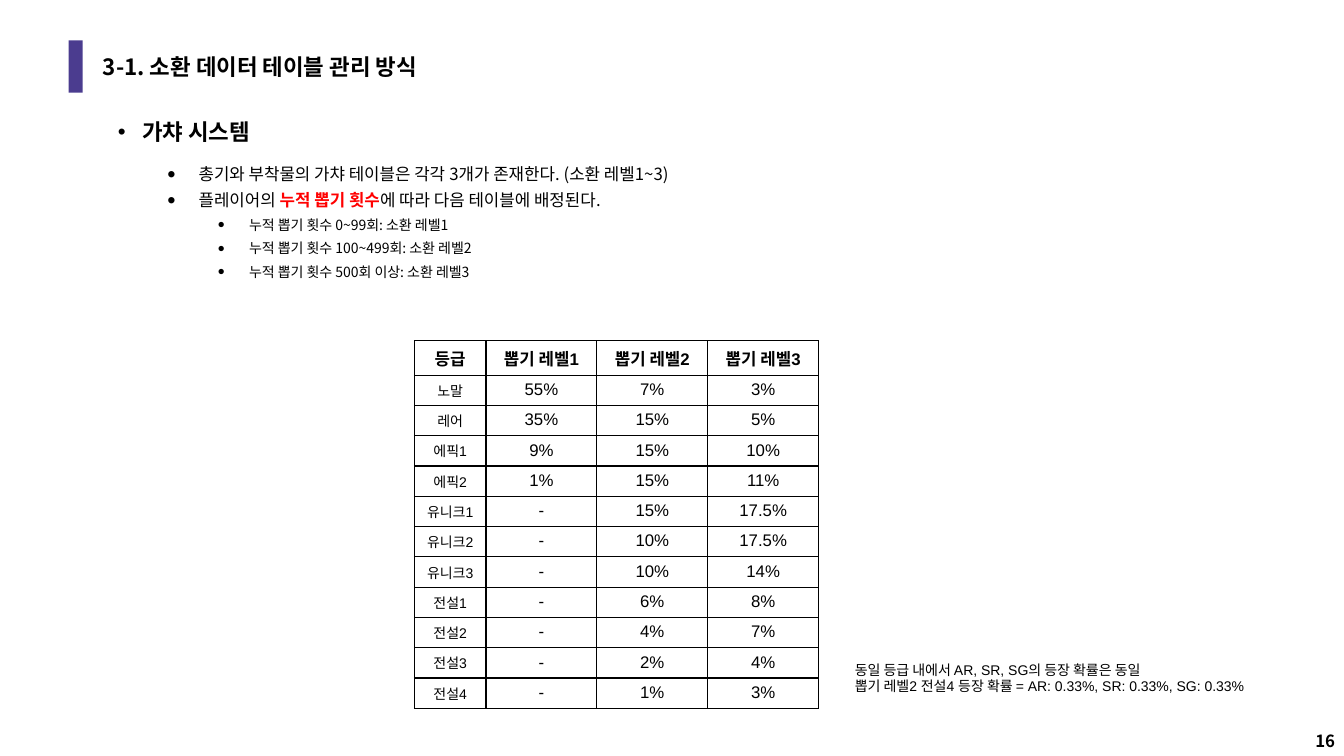
from lxml.etree import SubElement
from pptx import Presentation
from pptx.dml.color import RGBColor
from pptx.enum.shapes import MSO_SHAPE as Shape
from pptx.enum.text import MSO_ANCHOR as Anchor, MSO_AUTO_SIZE as AutoSize, PP_ALIGN as Align
from pptx.oxml.ns import qn
from pptx.util import Emu, Pt

PX = 9144
KOREAN = "Noto Sans CJK KR"
LATIN = "Arial"
BLACK = "000000"
RED = "FF0000"
PURPLE = "4B3C8F"

BULLETS = [
    (0, 16, "가챠 시스템"),
    (1, 12, "총기와 부착물의 가챠 테이블은 각각 3개가 존재한다. (소환 레벨1~3)"),
    (1, 12, "플레이어의 *누적 뽑기 횟수*에 따라 다음 테이블에 배정된다."),
    (2, 10, "누적 뽑기 횟수 0~99회: 소환 레벨1"),
    (2, 10, "누적 뽑기 횟수 100~499회: 소환 레벨2"),
    (2, 10, "누적 뽑기 횟수 500회 이상: 소환 레벨3"),
]
INDENTS = [(25, -24), (81, -31), (131, -31)]

RATES = [
    ("등급", "뽑기 레벨1", "뽑기 레벨2", "뽑기 레벨3"),
    ("노말", "55%", "7%", "3%"),
    ("레어", "35%", "15%", "5%"),
    ("에픽1", "9%", "15%", "10%"),
    ("에픽2", "1%", "15%", "11%"),
    ("유니크1", "-", "15%", "17.5%"),
    ("유니크2", "-", "10%", "17.5%"),
    ("유니크3", "-", "10%", "14%"),
    ("전설1", "-", "6%", "8%"),
    ("전설2", "-", "4%", "7%"),
    ("전설3", "-", "2%", "4%"),
    ("전설4", "-", "1%", "3%"),
]

NOTES = [
    "동일 등급 내에서 AR, SR, SG의 등장 확률은 동일",
    "뽑기 레벨2 전설4 등장 확률 = AR: 0.33%, SR: 0.33%, SG: 0.33%",
]


def px(length):
    return Emu(length * PX)


def color(value):
    return RGBColor.from_string(value)


class SlideBuilder:
    def __init__(self, deck):
        self.slide = deck.slides.add_slide(deck.slide_layouts[1])

    def place(self, shape, left, top, width, height):
        shape.left, shape.top = px(left), px(top)
        shape.width, shape.height = px(width), px(height)

    def style(self, para, size, face, bold=False, align=Align.LEFT):
        para.alignment = align
        para.font.name = face
        para.font.size = Pt(size)
        para.font.bold = bold
        para.font.color.rgb = color(BLACK)
        defaults = para._p.pPr.find(qn("a:defRPr"))
        SubElement(defaults, qn("a:ea"), typeface=KOREAN)
        return defaults

    def bar(self, left, top, width, height, fill):
        bar = self.slide.shapes.add_shape(
            Shape.RECTANGLE, px(left), px(top), px(width), px(height))
        bar.shadow.inherit = False
        bar.fill.solid()
        bar.fill.fore_color.rgb = color(fill)
        bar.line.fill.background()

    def title(self, text, *frame):
        title = self.slide.shapes.title
        self.place(title, *frame)
        title.text_frame.vertical_anchor = Anchor.MIDDLE
        title.text_frame.auto_size = AutoSize.NONE
        para = title.text_frame.paragraphs[0]
        para.text = text
        para.line_spacing = 0.9
        self.style(para, 20, KOREAN, bold=True).set("cap", "small")

    def bullet(self, para, level):
        margin, indent = INDENTS[level]
        props = para._p.get_or_add_pPr()
        props.set("marL", str(px(margin)))
        props.set("indent", str(px(indent)))
        tint = SubElement(props, qn("a:buClr"))
        SubElement(tint, qn("a:srgbClr"), val=BLACK)
        SubElement(props, qn("a:buSzPct"), val="140000" if level else "100000")
        SubElement(props, qn("a:buFont"), typeface=LATIN)
        SubElement(props, qn("a:buChar"), char="•")

    def bullets(self, items, *frame):
        body = self.slide.placeholders[1]
        self.place(body, *frame)
        text_frame = body.text_frame
        text_frame.auto_size = AutoSize.NONE
        text_frame.vertical_anchor = Anchor.TOP
        for index, (level, size, text) in enumerate(items):
            para = text_frame.add_paragraph() if index else text_frame.paragraphs[0]
            para.level = level
            self.bullet(para, level)
            para.line_spacing = 0.9 if level else 1.3
            para.space_before = Pt({0: 0, 1: 15}.get(index, 5.8))
            self.style(para, size, KOREAN, bold=level == 0)
            for part, piece in enumerate(text.split("*")):
                span = para.add_run()
                span.text = piece
                if part % 2:
                    span.font.bold = True
                    span.font.color.rgb = color(RED)

    def border(self, cell):
        props = cell._tc.get_or_add_tcPr()
        for side in ("lnL", "lnR", "lnT", "lnB"):
            line = SubElement(props, qn(f"a:{side}"), w=str(Pt(1)))
            fill = SubElement(line, qn("a:solidFill"))
            SubElement(fill, qn("a:srgbClr"), val=BLACK)

    def table(self, rows, left, top, widths, row_height):
        table = self.slide.shapes.add_table(
            len(rows), len(widths), px(left), px(top),
            px(sum(widths)), px(row_height * len(rows))).table
        table.first_row = table.horz_banding = False
        for column, width in zip(table.columns, widths):
            column.width = px(width)
        for row, values in enumerate(rows):
            for column, value in enumerate(values):
                cell = table.cell(row, column)
                self.border(cell)
                cell.fill.background()
                para = cell.text_frame.paragraphs[0]
                para.text = value
                size = 10 if row and column == 0 else 12
                self.style(para, size, LATIN, bold=row == 0, align=Align.CENTER)

    def text(self, lines, left, top, width, height, size, face,
             bold=False, align=Align.LEFT, anchor=Anchor.TOP, wrap=True):
        box = self.slide.shapes.add_textbox(px(left), px(top), px(width), px(height))
        box.text_frame.word_wrap = wrap
        box.text_frame.auto_size = AutoSize.NONE if wrap else AutoSize.SHAPE_TO_FIT_TEXT
        box.text_frame.vertical_anchor = anchor
        box.text_frame.text = "\n".join(lines)
        for para in box.text_frame.paragraphs:
            self.style(para, size, face, bold, align)


def main():
    deck = Presentation()
    deck.slide_width, deck.slide_height = px(1333), px(750)
    page = SlideBuilder(deck)
    page.text(["16"], 1242, 710, 92, 40, 12, KOREAN,
              bold=True, align=Align.RIGHT, anchor=Anchor.BOTTOM)
    page.bar(68, 40, 14, 52, PURPLE)
    page.title("3-1. 소환 데이터 테이블 관리 방식", 92, 40, 1150, 52)
    page.bullets(BULLETS, 106, 104, 1150, 221)
    page.table(RATES, 411, 338, [71, 110, 110, 110], 30)
    page.text(NOTES, 838, 651, 427, 44, 10, LATIN, wrap=False)
    deck.save("out.pptx")


if __name__ == "__main__":
    main()
